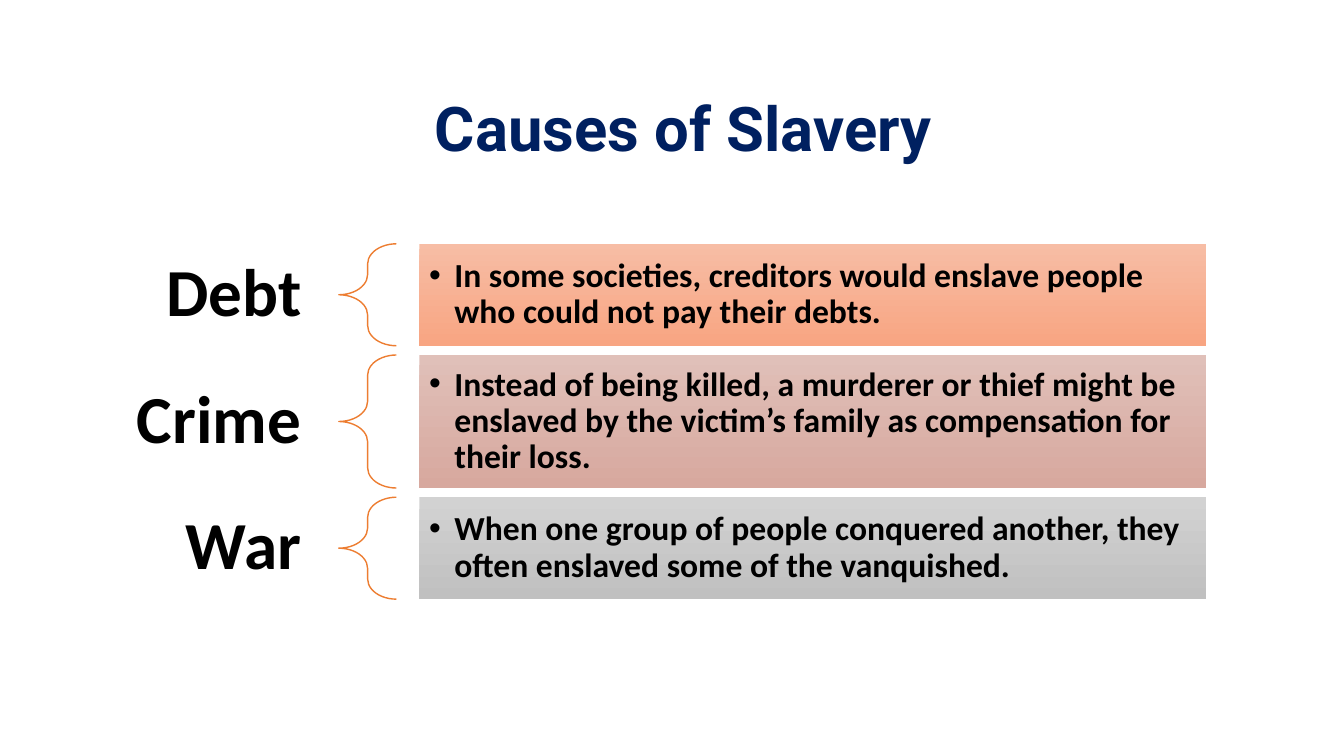
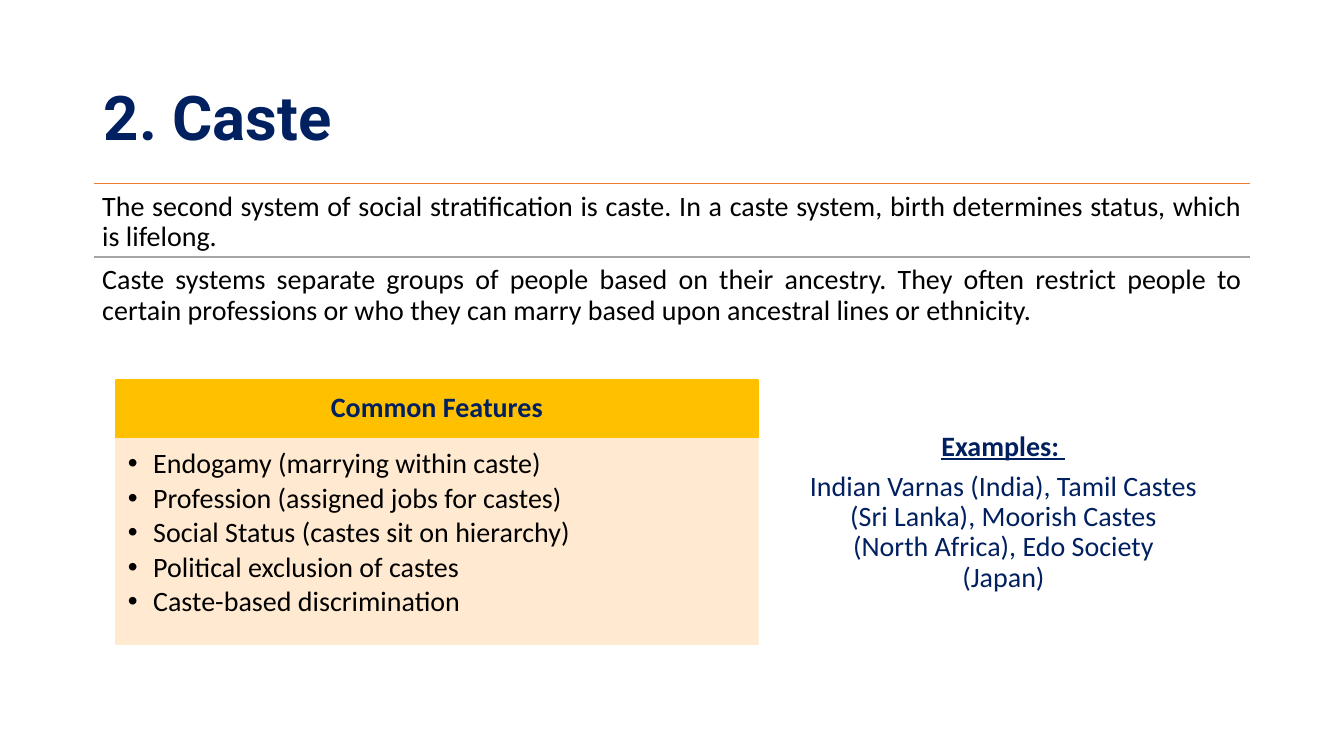
from lxml.etree import SubElement as Sub
from pptx import Presentation
from pptx.dml.color import RGBColor as RGB
from pptx.enum.shapes import MSO_CONNECTOR as Link, MSO_SHAPE as Form
from pptx.enum.text import MSO_ANCHOR as Anchor, MSO_AUTO_SIZE as Fit, PP_ALIGN as Align
from pptx.oxml.ns import qn
from pptx.util import Pt

NAVY, BLACK, ORANGE, GREY = "002060", "000000", "ED7D31", "A5A5A5"
GOLD, CREAM = "FFC000", "FFE8CC"


def tint(color, code):
    color.rgb = RGB.from_string(code)


class Deck:
    HEAD = {"name": "Roboto", "size": Pt(44), "bold": True}
    BODY = {"name": "Calibri", "size": Pt(20), "bold": False}
    INDENT = Pt(18)

    def __init__(self):
        self.prs = Presentation()
        self.prs.slide_width, self.prs.slide_height = Pt(960), Pt(540)

    def new(self, layout):
        self.slide = self.prs.slides.add_slide(self.prs.slide_layouts[layout])
        self.shapes = self.slide.shapes

    def place(self, shape, area):
        for key, val in zip(("left", "top", "width", "height"), area):
            setattr(shape, key, Pt(val))
        return shape

    def frame(self, shape, pad, anchor=Anchor.MIDDLE):
        """Set up the text frame; pad is left, top, right, bottom."""
        frame = shape.text_frame
        vals = {"word_wrap": True, "auto_size": Fit.NONE, "vertical_anchor": anchor}
        for side, val in zip(("left", "top", "right", "bottom"), pad):
            vals["margin_" + side] = Pt(val)
        for key, val in vals.items():
            setattr(frame, key, val)
        return frame

    def fill(self, frame, items, align=Align.LEFT, after=7, color=BLACK,
             bullet=False, style=BODY):
        """Fill a frame; each item is a string or a (string, font dict) pair."""
        for i, item in enumerate(items):
            words, more = (item, {}) if isinstance(item, str) else item
            para = frame.paragraphs[0] if i == 0 else frame.add_paragraph()
            if bullet:
                props = para._p.get_or_add_pPr()
                props.set("marL", str(self.INDENT))
                props.set("indent", str(-self.INDENT))
                Sub(props, qn("a:buFont")).set("typeface", "Arial")
                Sub(props, qn("a:buChar")).set("char", "•")
            form = {"alignment": align, "line_spacing": 0.9,
                    "space_before": Pt(0), "space_after": Pt(after)}
            for key, val in form.items():
                setattr(para, key, val)
            run = para.add_run()
            run.text = words
            for key, val in {**style, **more}.items():
                setattr(run.font, key, val)
            tint(run.font.color, color)

    def title(self, words, area, align=Align.LEFT):
        shape = self.place(self.shapes.title, area)
        frame = self.frame(shape, (7.2, 3.6, 7.2, 3.6))
        self.fill(frame, [words], align, 0, NAVY, style=self.HEAD)

    def text(self, items, area, pad=(6, 6, 6, 6), anchor=Anchor.MIDDLE, **form):
        shape = self.shapes.add_textbox(*map(Pt, area))
        self.fill(self.frame(shape, pad, anchor), items, **form)

    def box(self, items, area, colors, pad, **form):
        """Rectangle with text; two colours make a downward gradient."""
        shape = self.shapes.add_shape(Form.RECTANGLE, *map(Pt, area))
        shape.shadow.inherit = False
        if len(colors) == 2:
            shape.fill.gradient()
            shape.fill.gradient_angle = 270
            for stop, code in zip(shape.fill.gradient_stops, colors):
                tint(stop.color, code)
            shape.line.fill.background()
        else:
            self.paint(shape, colors[0])
        self.fill(self.frame(shape, pad), items, **form)

    def paint(self, shape, code):
        shape.fill.solid()
        tint(shape.fill.fore_color, code)
        tint(shape.line.color, code)
        shape.line.width = Pt(1)

    def panel(self, items, area, code, pad, alpha):
        """Bulleted list in the body placeholder, on a translucent fill."""
        shape = self.place(self.slide.placeholders[1], area)
        self.paint(shape, code)
        for mark in shape._element.spPr.iter(qn("a:srgbClr")):
            Sub(mark, qn("a:alpha")).set("val", str(alpha * 1000))
        frame = self.frame(shape, pad, Anchor.TOP)
        self.fill(frame, items, after=3, bullet=True)

    def brace(self, area):
        shape = self.shapes.add_shape(Form.LEFT_BRACE, *map(Pt, area))
        shape.shadow.inherit = False
        shape.adjustments[0] = 0.35
        shape.fill.background()
        tint(shape.line.color, ORANGE)
        shape.line.width = Pt(1)

    def rule(self, left, top, width, code):
        ends = map(Pt, (left, top, left + width, top))
        line = self.shapes.add_connector(Link.STRAIGHT, *ends)
        tint(line.line.color, code)
        line.line.width = Pt(1)
        Sub(line._element.spPr, qn("a:effectLst"))


def causes(deck):
    deck.new(5)
    deck.title("Causes of Slavery", (171.4, 66.2, 633.6, 56.2), Align.CENTER)
    rows = [
        ("Debt", 72.8, ("F7BDA5", "F8A582"),
         "In some societies, creditors would enslave people who could not pay their debts."),
        ("Crime", 95, ("E0C0B9", "D7A89E"),
         "Instead of being killed, a murderer or thief might be enslaved by the victim’s "
         "family as compensation for their loss."),
        ("War", 72.8, ("D2D2D2", "C0C0C0"),
         "When one group of people conquered another, they often enslaved some of the "
         "vanquished."),
    ]
    top, gap = 174.2, 6.6
    big = {"size": Pt(48), "bold": True}
    mid = {"size": Pt(24), "bold": True}
    for name, high, colors, words in rows:
        deck.text([(name, big)], (35.3, top, 206.6, high), (26.6, 9.4, 26.6, 9.4),
                  align=Align.RIGHT, after=0)
        deck.brace((242, top, 41.2, high))
        deck.box([(words, mid)], (299.5, top, 562.3, high), colors, (7.2,) * 4,
                 after=0, bullet=True)
        top += high + gap


def caste(deck):
    deck.new(1)
    deck.title("2. Caste", (67, 27.4, 765.4, 118))

    # Ruled paragraphs
    left, top, wide, high = 67, 131, 826, 52.7
    parts = [
        (ORANGE, "The second system of social stratification is caste. In a caste system, "
                 "birth determines status, which is lifelong."),
        (GREY, "Caste systems separate groups of people based on their ancestry. They often "
               "restrict people to certain professions or who they can marry based upon "
               "ancestral lines or ethnicity."),
    ]
    for i, (code, words) in enumerate(parts):
        y = top + i * high
        deck.rule(left, y, wide, code)
        deck.text([words], (left, y, wide, high), anchor=Anchor.TOP, align=Align.JUSTIFY)

    # Feature list
    left, top, wide, high = 82.8, 271.6, 458.6, 41
    deck.box([("Common Features", {"bold": True})], (left, top, wide, high), (GOLD,),
             (11.5, 6.5, 11.5, 6.5), align=Align.CENTER, after=0, color=NAVY)
    deck.panel(["Endogamy (marrying within caste)",
                "Profession (assigned jobs for castes)",
                "Social Status (castes sit on hierarchy)",
                "Political exclusion of castes",
                "Caste-based discrimination"],
               (left, top + high, wide, 147.6), CREAM, (8.6, 8.6, 11.5, 12.2), 90)

    # Examples
    deck.text([("Examples: ", {"bold": True, "underline": True}),
               "Indian Varnas (India), Tamil Castes (Sri Lanka), Moorish Castes "
               "(North Africa), Edo Society (Japan)"],
              (572.4, 279.4, 288.7, 173.5), align=Align.CENTER, color=NAVY)


def main():
    deck = Deck()
    causes(deck)
    caste(deck)
    deck.prs.save("out.pptx")


if __name__ == "__main__":
    main()
